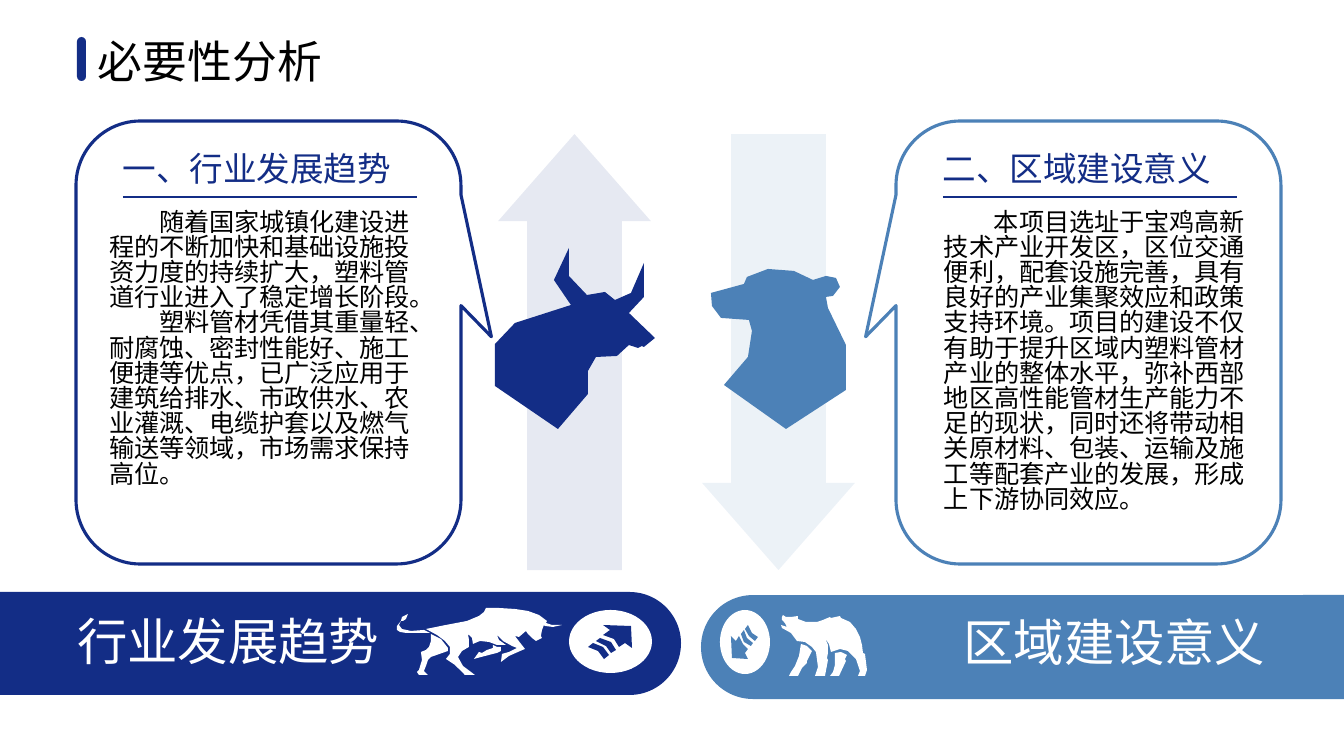
from pptx import Presentation
from pptx import util as u
from pptx.dml import color
from pptx.enum import shapes, text
from pptx.oxml import ns
from lxml import etree

PX = 914400 / 100.8

THEME = {
    "navy": "132D86", "steel": "4C81B7", "white": "FFFFFF", "black": "000000",
    "title": 32, "banner": 36, "heading": 24, "body": 18,
    "title_font": "Cabin", "label_font": "Roboto", "body_font": "Noto Sans CJK SC",
}

TITLE = "必要性分析"

BULL_HEAD = [[(629, 313), (644, 297), (644, 263), (631, 293), (615, 300), (605, 292), (587, 295), (569, 276),
              (569, 248), (554, 280), (571, 305), (515, 323), (495, 344), (495, 386), (558, 429), (588, 394),
              (588, 371), (596, 357), (617, 356), (629, 345), (638, 348), (642, 346), (644, 347), (655, 338)]]
BEAR_HEAD = [[(828, 308), (826, 297), (833, 296), (840, 287), (836, 278), (826, 276), (813, 280), (794, 271),
              (768, 269), (747, 277), (744, 284), (711, 293), (712, 306), (721, 318), (749, 320), (752, 331),
              (748, 357), (724, 385), (786, 429), (846, 390), (846, 345)]]
BULL = [
    [(493, 645), (497, 647), (501, 647), (501, 651), (497, 653), (485, 656), (474, 659), (479, 652),
     (482, 653), (487, 650), (493, 648)],
    [(431, 634), (441, 639), (448, 648), (448, 651), (431, 657), (428, 660), (426, 666), (424, 671),
     (428, 675), (419, 675), (417, 672), (419, 670), (422, 660), (421, 652), (426, 650), (429, 647), (431, 641)],
    [(408, 614), (406, 619), (403, 621), (401, 621), (399, 625), (402, 629), (411, 631), (424, 630),
     (430, 633), (421, 633), (406, 633), (400, 632), (397, 630), (397, 626), (401, 621), (402, 617)],
    [(499, 608), (515, 609), (528, 611), (539, 615), (547, 621), (546, 623), (552, 625), (562, 625),
     (553, 627), (545, 626), (544, 625), (542, 630), (541, 636), (542, 638), (536, 641), (532, 638),
     (528, 634), (526, 631), (519, 637), (515, 636), (518, 640), (525, 649), (518, 652), (509, 656),
     (501, 662), (502, 654), (509, 652), (517, 648), (512, 646), (503, 641), (497, 635), (499, 640),
     (506, 645), (497, 645), (489, 642), (480, 641), (473, 644), (472, 638), (468, 634), (469, 640),
     (469, 647), (462, 651), (458, 657), (463, 666), (475, 675), (465, 675), (463, 673), (455, 665),
     (446, 659), (450, 654), (450, 647), (445, 641), (437, 635), (426, 629), (446, 625), (467, 621),
     (479, 616), (484, 612), (486, 608)],
]
BEAR = [
    [(841, 652), (847, 655), (845, 659), (846, 661), (839, 676), (830, 676), (833, 672), (835, 665), (835, 653)],
    [(801, 644), (807, 646), (812, 651), (807, 661), (807, 663), (802, 668), (798, 676), (789, 676),
     (791, 672), (795, 666), (799, 656)],
    [(783, 615), (786, 617), (791, 617), (798, 616), (798, 619), (806, 622), (817, 622), (823, 620),
     (830, 617), (831, 618), (840, 616), (841, 618), (850, 622), (856, 629), (860, 637), (862, 645),
     (863, 653), (865, 654), (867, 670), (865, 676), (858, 676), (860, 671), (856, 659), (848, 651),
     (840, 649), (831, 652), (829, 644), (825, 638), (828, 645), (828, 653), (827, 658), (828, 660),
     (825, 676), (815, 676), (818, 667), (816, 652), (812, 647), (805, 642), (797, 641), (791, 633),
     (782, 628), (781, 625), (787, 627), (785, 623), (782, 620), (782, 617)],
]
RISE = [
    [(632, 648), (625, 643), (619, 647), (614, 639), (603, 635), (610, 630), (603, 625), (631, 626)],
    [(611, 653), (606, 646), (596, 641), (600, 638), (611, 642), (616, 650)],
    [(604, 659), (598, 651), (588, 647), (593, 643), (603, 647), (609, 655)],
]
FALL = [
    [(731, 636), (736, 641), (739, 636), (743, 644), (748, 649), (745, 653), (748, 659), (732, 658)],
    [(744, 630), (747, 638), (753, 643), (751, 646), (744, 642), (741, 634)],
    [(748, 625), (752, 633), (758, 637), (755, 641), (749, 636), (745, 629)],
]

SIDES = [
    {"heading": "一、行业发展趋势", "banner": "行业发展趋势", "color": "navy",
     "body": ["随着国家城镇化建设进程的不断加快和基础设施投资力度的持续扩大，塑料管道行业进入了稳定增长阶段。",
              "塑料管材凭借其重量轻、耐腐蚀、密封性能好、施工便捷等优点，已广泛应用于建筑给排水、市政供水、"
              "农业灌溉、电缆护套以及燃气输送等领域，市场需求保持高位。"],
     "callout_x": 76, "tail": 0.579, "arrow": shapes.MSO_SHAPE.UP_ARROW, "arrow_x": 498,
     "head": BULL_HEAD, "heading_x": 114, "body_x": 100, "body_w": 343,
     "bar": (0, 592, 681, 103), "turn": 90, "oval": (569, 610, 83, 63), "swoosh": RISE, "animal": BULL,
     "banner_at": (60, 605, 328, 71), "banner_align": text.PP_ALIGN.RIGHT},
    {"heading": "二、区域建设意义", "banner": "区域建设意义", "color": "steel",
     "body": ["本项目选址于宝鸡高新技术产业开发区，区位交通便利，配套设施完善，具有良好的产业集聚效应和政策支持环境。"
              "项目的建设不仅有助于提升区域内塑料管材产业的整体水平，弥补西部地区高性能管材生产能力不足的现状，"
              "同时还将带动相关原材料、包装、运输及施工等配套产业的发展，形成上下游协同效应。"],
     "callout_x": 896, "tail": -0.579, "arrow": shapes.MSO_SHAPE.DOWN_ARROW, "arrow_x": 702,
     "head": BEAR_HEAD, "heading_x": 934, "body_x": 935, "body_w": 327,
     "bar": (701, 595, 643, 104), "turn": 270, "oval": (720, 610, 50, 64), "swoosh": FALL, "animal": BEAR,
     "banner_at": (887, 606, 455, 71), "banner_align": text.PP_ALIGN.CENTER},
]

prs = Presentation()
prs.slide_width, prs.slide_height = round(1344 * PX), round(756 * PX)
slide = prs.slides.add_slide(prs.slide_layouts[6])


def emu(*lengths):
    return [round(length * PX) for length in lengths]


def rgb(name):
    return color.RGBColor.from_string(THEME[name])


def paint(part, fill, line=None, alpha=None):
    part.shadow.inherit = False
    part.fill.solid()
    part.fill.fore_color.rgb = rgb(fill)
    if alpha:
        tint = part.fill._xPr.find(".//" + ns.qn("a:srgbClr"))
        etree.SubElement(tint, ns.qn("a:alpha")).set("val", str(alpha * 1000))
    if line:
        part.line.color.rgb = rgb(line)
        part.line.width = u.Pt(2.25)
    else:
        part.line.fill.background()


def add_preset(kind, at, fill, adjust=(), turn=0, **look):
    part = slide.shapes.add_shape(kind, *emu(*at))
    for i, value in enumerate(adjust):
        part.adjustments[i] = value
    part.rotation = turn
    paint(part, fill, **look)


def add_outline(contours, fill):
    builder = slide.shapes.build_freeform(*contours[0][0], scale=PX)
    for i, (start, *rest) in enumerate(contours):
        if i:
            builder.move_to(*start)
        builder.add_line_segments(rest, close=True)
    paint(builder.convert_to_shape(), fill)


def add_text(lines, at, size, font, ink, align=text.PP_ALIGN.LEFT, anchor=text.MSO_ANCHOR.TOP,
             inset=9, indent=0, leading=None, tracking=-10):
    frame = slide.shapes.add_textbox(*emu(*at)).text_frame
    frame.word_wrap = True
    frame.vertical_anchor = anchor
    frame.margin_left = frame.margin_right = emu(inset)[0]
    frame.margin_top = frame.margin_bottom = emu(5)[0]
    for i, line in enumerate(lines):
        para = frame.add_paragraph() if i else frame.paragraphs[0]
        para.alignment = align
        if indent:
            para._p.get_or_add_pPr().set("indent", str(emu(indent)[0]))
        if leading:
            para.line_spacing = u.Pt(leading)
        run = para.add_run()
        run.text = line
        run.font.size = u.Pt(THEME[size])
        run.font.name = THEME[font]
        run.font.color.rgb = rgb(ink)
        props = run._r.get_or_add_rPr()
        props.set("spc", str(tracking))
        etree.SubElement(props, ns.qn("a:ea")).set("typeface", THEME[font])


def add_rule(x, y, width):
    rule = slide.shapes.add_connector(shapes.MSO_CONNECTOR.STRAIGHT, *emu(x, y, x + width, y))
    rule.line.color.rgb = rgb("navy")
    rule.line.width = u.Pt(1.88)
    etree.SubElement(rule._element.spPr, ns.qn("a:effectLst"))


def add_banner(side):
    x, y, w, h = side["bar"]
    upright = (x + (w - h) / 2, y + (h - w) / 2, h, w)
    add_preset(shapes.MSO_SHAPE.ROUND_2_SAME_RECTANGLE, upright, side["color"], (0.5, 0), side["turn"])
    add_outline(side["animal"], "white")
    add_preset(shapes.MSO_SHAPE.OVAL, side["oval"], "white")
    add_outline(side["swoosh"], side["color"])
    add_text([side["banner"]], side["banner_at"], "banner", "label_font", "white",
             align=side["banner_align"], anchor=text.MSO_ANCHOR.MIDDLE)


def add_panel(side):
    add_preset(shapes.MSO_SHAPE.ROUNDED_RECTANGULAR_CALLOUT, (side["callout_x"], 121, 385, 443), "white",
               (side["tail"], -0.013, 0.167), line=side["color"])
    add_preset(side["arrow"], (side["arrow_x"], 134, 153, 436), side["color"], (0.62, 0.57), alpha=10)
    add_outline(side["head"], side["color"])
    add_text([side["heading"]], (side["heading_x"], 143, 327, 50), "heading", "label_font", "navy",
             anchor=text.MSO_ANCHOR.BOTTOM)
    add_text(side["body"], (side["body_x"], 206, side["body_w"], 315), "body", "body_font", "black",
             indent=50, leading=18)
    add_rule(side["heading_x"] + 9, 197, 294)


add_text([TITLE], (88, 29, 264, 65), "title", "title_font", "black", inset=10, tracking=0)
add_preset(shapes.MSO_SHAPE.ROUNDED_RECTANGLE, (77, 37, 9, 44), "navy", (0.5,))
for side in SIDES:
    add_panel(side)
    add_banner(side)

prs.save("out.pptx")
